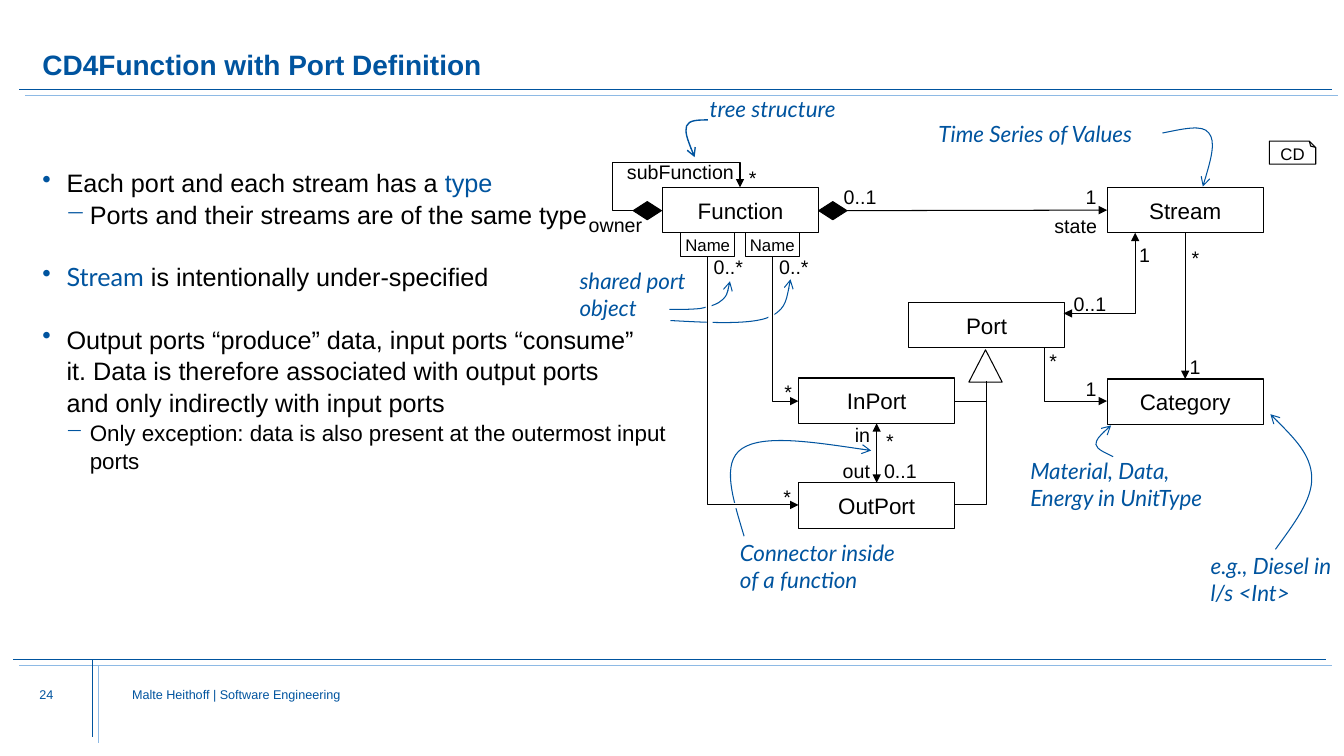
from dataclasses import dataclass
from lxml.etree import SubElement
from pptx import Presentation
from pptx.dml.color import RGBColor
from pptx.enum.shapes import MSO_CONNECTOR, MSO_SHAPE
from pptx.enum.text import MSO_ANCHOR, PP_ALIGN
from pptx.oxml.ns import qn
from pptx.util import Inches, Pt

@dataclass(frozen=True)
class Theme:
    blue: RGBColor = RGBColor(0x00, 0x54, 0x9F)
    light_blue: RGBColor = RGBColor(0x8E, 0xBA, 0xE5)
    black: RGBColor = RGBColor(0, 0, 0)
    white: RGBColor = RGBColor(255, 255, 255)
    body_font: str = "Arial"
    note_font: str = "Lato"
    title: int = 20
    body: int = 18
    class_name: int = 16
    label: int = 14
    small: int = 12
    footer: int = 9
    line: float = 0.75
    rule: float = 0.5

@dataclass(frozen=True)
class Box:
    left: float
    top: float
    width: float
    height: float

    def inner(self, x, y, width=0, height=0):
        return Box(self.left + x, self.top + y, width, height)

    def lengths(self):
        return [Inches(value) for value in (self.left, self.top, self.width, self.height)]

THEME = Theme()

def style_font(font, size, color, name=THEME.body_font, bold=False, italic=False):
    font.size, font.name, font.bold, font.italic = Pt(size), name, bold, italic
    font.color.rgb = color

def add_text(slide, box, text, size, color=THEME.black, margins=True, **font):
    frame = slide.shapes.add_textbox(*box.lengths()).text_frame
    frame.word_wrap = True
    if not margins:
        frame.margin_left = frame.margin_top = frame.margin_right = frame.margin_bottom = 0
    frame.text = text
    style_font(frame.paragraphs[0].font, size, color, **font)
    return frame

def style_line(line, color, width, head=None, tail=None):
    line.color.rgb = color
    line.width = Pt(width)
    for tag, kind in (("a:headEnd", head), ("a:tailEnd", tail)):
        if kind:
            SubElement(line._get_or_add_ln(), qn(tag), type=kind)

def add_line(slide, start, end, color=THEME.black, width=THEME.line, head=None, tail=None, bent=False):
    kind = MSO_CONNECTOR.ELBOW if bent else MSO_CONNECTOR.STRAIGHT
    connector = slide.shapes.add_connector(kind, *start.lengths()[:2], *end.lengths()[:2])
    style_line(connector.line, color, width, head, tail)
    properties = connector.element.spPr
    if bent:
        properties.find(qn("a:prstGeom")).set("prst", "bentConnector2")
    SubElement(properties, qn("a:effectLst"))
    return connector

def add_shape(slide, box, kind=MSO_SHAPE.RECTANGLE, fill=None, outlined=True, text="", size=THEME.small):
    shape = slide.shapes.add_shape(kind, *box.lengths())
    shape.shadow.inherit = False
    if fill is None:
        shape.fill.background()
    else:
        shape.fill.solid()
        shape.fill.fore_color.rgb = fill
    if outlined:
        style_line(shape.line, THEME.black, THEME.line)
    else:
        shape.line.fill.background()
    if text:
        frame = shape.text_frame
        frame.text, frame.word_wrap, frame.vertical_anchor = text, False, MSO_ANCHOR.MIDDLE
        frame.paragraphs[0].alignment = PP_ALIGN.CENTER
        style_font(frame.paragraphs[0].font, size, THEME.black)
    return shape

def add_open_outline(slide, box, points, color, width, tail):
    start, *others = [box.inner(*point).lengths()[:2] for point in points]
    builder = slide.shapes.build_freeform(*start)
    shape = builder.add_line_segments(others, close=False).convert_to_shape()
    shape.shadow.inherit = False
    shape.fill.background()
    style_line(shape.line, color, width, tail=tail)
    return shape

def add_curve(slide, box, points, width):
    shape = add_open_outline(slide, box, points, THEME.blue, width, "arrow")
    outline = next(shape.element.iter(qn("a:path")))
    segments = outline.findall(qn("a:lnTo"))
    for first in range(0, len(segments), 3):
        curve = SubElement(outline, qn("a:cubicBezTo"))
        for segment in segments[first:first + 3]:
            curve.append(segment[0])
            outline.remove(segment)

def add_frame(slide, box):
    for x, y, width, height in ((0.19, 0.89, 13.02, 0), (0.13, 6.54, 13.02, 0), (0.92, 6.54, 0, 0.77)):
        for shift, color in ((0, THEME.blue), (0.06, THEME.light_blue)):
            start = box.inner(x + shift, y + shift)
            add_line(slide, start, start.inner(width, height), color, THEME.rule)
    title = add_text(slide, box.inner(0.42, 0.22, 12.56, 0.59), "CD4Function with Port Definition",
                     THEME.title, THEME.blue, margins=False, bold=True)
    title.vertical_anchor = MSO_ANCHOR.BOTTOM
    title.paragraphs[0].line_spacing = 0.9
    for x, width, text in ((0.39, 0.5, "24"), (1.31, 7.66, "Malte Heithoff | Software Engineering")):
        add_text(slide, box.inner(x, 6.81, width, 0.43), text, THEME.footer, THEME.blue, margins=False)

def add_bullets(slide, box):
    plain, accent = (THEME.black, THEME.body_font), (THEME.blue, THEME.body_font)
    items = [
        (0, THEME.body, [("Each port and each stream has a ", plain), ("type", accent)]),
        (1, THEME.body, [("Ports and their streams are of the same type", plain)]),
        (0, THEME.body, [("Stream", (THEME.blue, THEME.note_font)), (" is intentionally under-specified", plain)]),
        (0, THEME.body, [("Output ports “produce” data, input ports “consume”\nit. Data is therefore associated "
                          "with output ports\nand only indirectly with input ports", plain)]),
        (1, THEME.class_name, [("Only exception: data is also present at the outermost input ports", plain)])]
    frame = slide.shapes.add_textbox(*box.lengths()).text_frame
    frame.word_wrap = True
    frame.margin_left = frame.margin_top = frame.margin_right = frame.margin_bottom = 0
    for index, (level, size, runs) in enumerate(items):
        paragraph = frame.add_paragraph() if index else frame.paragraphs[0]
        paragraph.level, paragraph.line_spacing = level, 1.05
        paragraph.space_before = Pt(21.7 if index and level == 0 else 0)
        properties = paragraph._p.get_or_add_pPr()
        properties.set("marL", str(Inches((0.24, 0.47)[level])))
        properties.set("indent", str(Inches(-0.24)))
        SubElement(SubElement(properties, qn("a:buClr")), qn("a:srgbClr"), val=str(THEME.blue))
        SubElement(properties, qn("a:buChar"), char="•−"[level])
        paragraph.font.size = Pt(size)
        for text, style in runs:
            for number, line in enumerate(text.split("\n")):
                if number:
                    paragraph.add_line_break()
                run = paragraph.add_run()
                run.text = line
                style_font(run.font, size, *style)

def add_notes(slide, box):
    notes = [
        ("shared port object", (0.65, 2.1, 1.43, 0.64)), ("tree structure", (1.94, 0.39, 2.19, 0.37)),
        ("Time Series of Values", (4.21, 0.64, 2.36, 0.37)),
        ("Connector inside of a function", (2.24, 4.8, 1.95, 0.64)),
        ("e.g., Diesel in l/s <Int>", (6.91, 4.93, 1.49, 0.64)),
        ("Material, Data, Energy in UnitType", (5.12, 3.99, 2.21, 0.64))]
    curves = [
        (0.75, [(1.64, 2.57), (1.75, 2.57), (1.86, 2.57), (1.95, 2.56), (2.04, 2.54), (2.12, 2.52), (2.17, 2.47),
                (2.21, 2.43), (2.23, 2.36), (2.24, 2.29)]),
        (0.75, [(1.65, 2.68), (2.02, 2.7), (2.39, 2.72), (2.59, 2.66), (2.79, 2.59), (2.81, 2.43), (2.84, 2.27)]),
        (1, [(2.02, 0.69), (1.93, 0.69), (1.83, 0.69), (1.81, 0.75), (1.79, 0.81), (1.84, 0.94), (1.89, 1.06)]),
        (0.75, [(6.53, 0.82), (6.73, 0.78), (6.93, 0.73), (6.99, 0.82), (7.06, 0.9), (7, 1.13), (6.93, 1.35)]),
        (0.75, [(2.38, 4.82), (2.27, 4.45), (2.15, 4.09), (2.36, 3.95), (2.57, 3.81), (3.1, 3.89), (3.64, 3.97)]),
        (0.75, [(7.65, 4.95), (7.83, 4.7), (8.02, 4.46), (8.01, 4.23), (8, 4.01), (7.8, 3.81), (7.6, 3.61)]),
        (0.75, [(6.04, 4.03), (5.96, 3.99), (5.88, 3.96), (5.87, 3.91), (5.87, 3.86), (5.94, 3.79), (6.02, 3.72)])]
    for text, place in notes:
        add_text(slide, box.inner(*place), text, THEME.class_name, THEME.blue, name=THEME.note_font, italic=True)
    for width, points in curves:
        add_curve(slide, box, points, width)
    for gap in ((2, 2.49, 0.06, 0.1), (2.01, 2.66, 0.06, 0.1), (2.62, 2.58, 0.06, 0.1), (2.24, 4.49, 0.1, 0.05)):
        add_shape(slide, box.inner(*gap), fill=THEME.white, outlined=False)

def add_classes(slide, box):
    places = {"Function": (1.57, 1.36), "Stream": (5.98, 1.36), "Port": (4.01, 2.5),
              "InPort": (2.92, 3.25), "OutPort": (2.92, 4.29), "Category": (5.98, 3.26)}
    classes = {name: add_shape(slide, box.inner(*place, 1.55, 0.45), text=name, size=THEME.class_name)
               for name, place in places.items()}
    for qualifier, diamond in ((1.75, 1.28), (2.39, 3.12)):
        add_shape(slide, box.inner(qualifier, 1.81, 0.54, 0.24), text="Name")
        add_shape(slide, box.inner(diamond, 1.5, 0.28, 0.18), MSO_SHAPE.DIAMOND, THEME.black)
    add_shape(slide, box.inner(4.61, 2.97, 0.33, 0.32), MSO_SHAPE.ISOSCELES_TRIANGLE, THEME.white)
    tag = add_shape(slide, box.inner(7.59, 0.9, 0.46, 0.23), MSO_SHAPE.FOLDED_CORNER, THEME.white, text="CD")
    SubElement(next(tag.element.iter(qn("a:avLst"))), qn("a:gd"), name="adj", fmla="val 27600")
    tag.element.spPr.find(qn("a:xfrm")).set("flipV", "1")
    tag.text_frame._txBody.find(qn("a:bodyPr")).set("rot", "10800000")
    tag.text_frame.paragraphs[0].line_spacing = 0.7
    return classes

def add_associations(slide, box, classes):
    bends = [((4.47, 3.48), (4.78, 3.28), None, None), ((4.47, 4.51), (4.78, 3.28), None, None),
             ((5.98, 3.48), (5.36, 2.95), "triangle", None), ((5.55, 2.61), (6.26, 1.81), "triangle", "triangle"),
             ((2.92, 3.48), (2.66, 2.05), "triangle", None), ((2.92, 4.51), (2.02, 2.05), "triangle", None)]
    for start, end, head, tail in bends:
        add_line(slide, box.inner(*start), box.inner(*end), head=head, tail=tail, bent=True)
    loop = [(1.28, 1.59), (1.08, 1.59), (1.08, 1.11), (2.34, 1.11), (2.34, 1.36)]
    add_open_outline(slide, box, loop, THEME.black, THEME.line, "triangle")
    state = add_line(slide, box.inner(3.4, 1.59), box.inner(5.98, 1.59), tail="triangle")
    state.end_connect(classes["Stream"], 1)
    for lower, upper, tail in (("Category", "Stream", None), ("OutPort", "InPort", "triangle")):
        link = add_line(slide, box, box, head="triangle", tail=tail)
        link.begin_connect(classes[lower], 0)
        link.end_connect(classes[upper], 2)
    labels = [("out", 0.62, [(3.26, 4)]), ("in", 0.36, [(3.38, 3.65)]), ("state", 0.63, [(5.36, 1.57)]),
              ("subFunction", 1.27, [(1.12, 1.04)]), ("owner", 0.75, [(0.74, 1.56)]),
              ("0..1", 0.57, [(3.67, 4), (5.55, 2.35), (3.27, 1.29)]), ("0..*", 0.6, [(2.63, 1.98), (1.98, 1.98)]),
              ("1", 0.29, [(5.67, 1.29), (6.2, 1.86), (5.67, 3.19), (6.7, 2.97)]),
              ("*", 0.29, [(2.33, 1.1), (2.68, 3.22), (2.67, 4.26), (3.69, 3.71), (5.31, 2.91), (6.72, 1.89)])]
    for text, width, places in labels:
        for place in places:
            add_text(slide, box.inner(*place, width, 0.34), text, THEME.label)

presentation = Presentation()
presentation.slide_width, presentation.slide_height = Inches(13.33), Inches(7.5)
slide = presentation.slides.add_slide(presentation.slide_layouts[6])
add_frame(slide, Box(0, 0, 13.33, 7.5))
add_bullets(slide, Box(0.42, 1.65, 6.52, 4.5))
diagram = Box(5, 0.5, 8.33, 6)
add_notes(slide, diagram)
add_associations(slide, diagram, add_classes(slide, diagram))
presentation.save("out.pptx")
